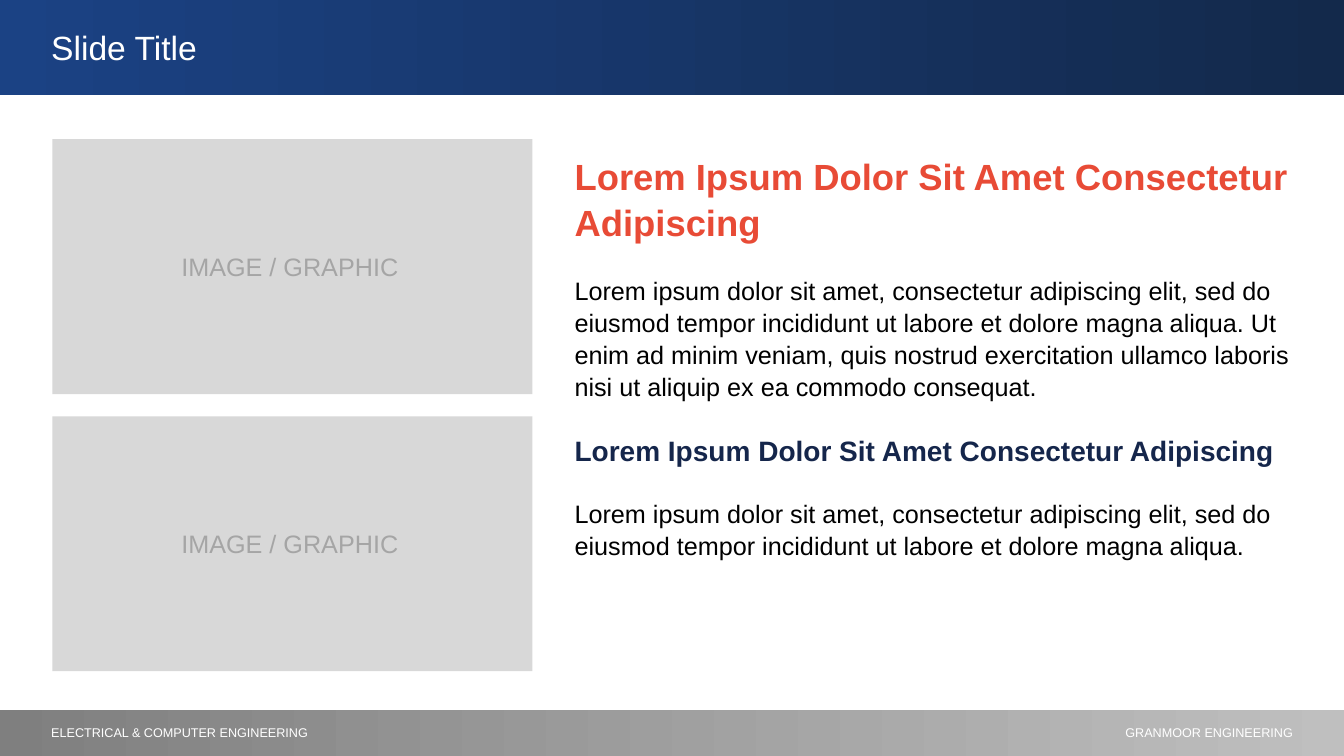
from pptx import Presentation
from pptx.dml.color import RGBColor
from pptx.enum.shapes import MSO_SHAPE
from pptx.enum.text import PP_ALIGN
from pptx.util import Inches, Pt

RECTANGLE = MSO_SHAPE.RECTANGLE
LEFT, CENTER, RIGHT = PP_ALIGN.LEFT, PP_ALIGN.CENTER, PP_ALIGN.RIGHT
FONT = "Arial"
SLIDE_WIDTH, SLIDE_HEIGHT = 13.33, 7.5
MARGIN = 0.41
COLORS = {
    "blue": "1B4284",
    "navy": "13294B",
    "subheading": "15264B",
    "orange": "E84B36",
    "body": "000000",
    "white": "FFFFFF",
    "placeholder": "D8D8D8",
    "caption": "A5A5A5",
    "footer_dark": "7F7F7F",
    "footer_light": "BFBFBF",
}
LOREM_HEADING = "Lorem Ipsum Dolor Sit Amet Consectetur Adipiscing"
LOREM_SHORT = (
    "Lorem ipsum dolor sit amet, consectetur adipiscing elit, sed do eiusmod "
    "tempor incididunt ut labore et dolore magna aliqua."
)
LOREM_LONG = LOREM_SHORT + (
    " Ut enim ad minim veniam, quis nostrud exercitation ullamco laboris nisi "
    "ut aliquip ex ea commodo consequat."
)
ARTICLE = [
    (LOREM_HEADING, 26, "orange", True),
    (LOREM_LONG, 18, "body", False),
    (LOREM_HEADING, 20, "subheading", True),
    (LOREM_SHORT, 18, "body", False),
]


def color(name):
    """Return the named palette colour."""
    return RGBColor.from_string(COLORS[name])


def add_block(slide, left, top, width, height):
    """Add a rectangle without outline or shadow."""
    block = slide.shapes.add_shape(
        RECTANGLE, Inches(left), Inches(top), Inches(width), Inches(height)
    )
    block.shadow.inherit = False
    block.line.fill.background()
    return block


def add_band(slide, left, top, width, height, start, end):
    """Add a rectangle shaded from left to right."""
    fill = add_block(slide, left, top, width, height).fill
    fill.gradient()
    fill.gradient_angle = 0
    for stop, name in zip(fill.gradient_stops, (start, end)):
        stop.color.rgb = color(name)


def add_text_frame(slide, left, top, width, height):
    """Add a wrapping text box and return its frame."""
    frame = slide.shapes.add_textbox(
        Inches(left), Inches(top), Inches(width), Inches(height)
    ).text_frame
    frame.word_wrap = True
    return frame


def add_run(paragraph, text, size, color_name, bold=False):
    """Append one styled run to a paragraph."""
    run = paragraph.add_run()
    run.text = text
    run.font.name = FONT
    run.font.size = Pt(size)
    run.font.bold = bold
    run.font.color.rgb = color(color_name)


def add_label(slide, left, top, width, height, text, size, color_name, align=LEFT):
    """Add a single line of text."""
    line = add_text_frame(slide, left, top, width, height).paragraphs[0]
    line.alignment = align
    add_run(line, text, size, color_name)


def add_image_area(slide, left, top, width, height):
    """Add a grey image area with its caption in the middle."""
    area = add_block(slide, left, top, width, height)
    area.fill.solid()
    area.fill.fore_color.rgb = color("placeholder")
    add_label(slide, left + 1.11, top + (height - 0.4) / 2, 2.49, 0.4,
              "IMAGE / GRAPHIC", 18, "caption", CENTER)


def add_article(slide, left, top, width, height):
    """Add the headings and body copy, one blank line's height apart."""
    frame = add_text_frame(slide, left, top, width, height)
    for index, (text, size, color_name, bold) in enumerate(ARTICLE):
        paragraph = frame.add_paragraph() if index else frame.paragraphs[0]
        paragraph.line_spacing = 1.05
        paragraph.space_before = Pt(21.7 if index else 0)
        add_run(paragraph, text, size, color_name, bold)


def add_header(slide, left, top, width, height):
    """Add the title band."""
    add_band(slide, left, top, width, height, "blue", "navy")
    add_label(slide, left + MARGIN, top + 0.23, 11.93, 0.5, "Slide Title", 24, "white")


def add_footer(slide, left, top, width, height):
    """Add the footer band with department and college."""
    add_band(slide, left, top, width, height, "footer_dark", "footer_light")
    add_label(slide, left + MARGIN, top + 0.1, 8.74, 0.25,
              "ELECTRICAL & COMPUTER ENGINEERING", 9, "white")
    college_width = 2.7
    add_label(slide, left + width - MARGIN - college_width, top + 0.1,
              college_width, 0.25, "GRANMOOR ENGINEERING", 9, "white", RIGHT)


def main():
    """Build and save the slide."""
    deck = Presentation()
    deck.slide_width = Inches(SLIDE_WIDTH)
    deck.slide_height = Inches(SLIDE_HEIGHT)
    slide = deck.slides.add_slide(deck.slide_layouts[6])
    image_height, image_gap = 2.53, 0.22
    for row in range(2):
        add_image_area(slide, 0.52, 1.38 + row * (image_height + image_gap),
                       4.76, image_height)
    add_article(slide, 5.6, 1.46, 7.31, 5.27)
    add_header(slide, 0, -0.01, SLIDE_WIDTH, 0.95)
    add_footer(slide, 0, 7.04, SLIDE_WIDTH, 0.46)
    deck.save("out.pptx")


if __name__ == "__main__":
    main()
